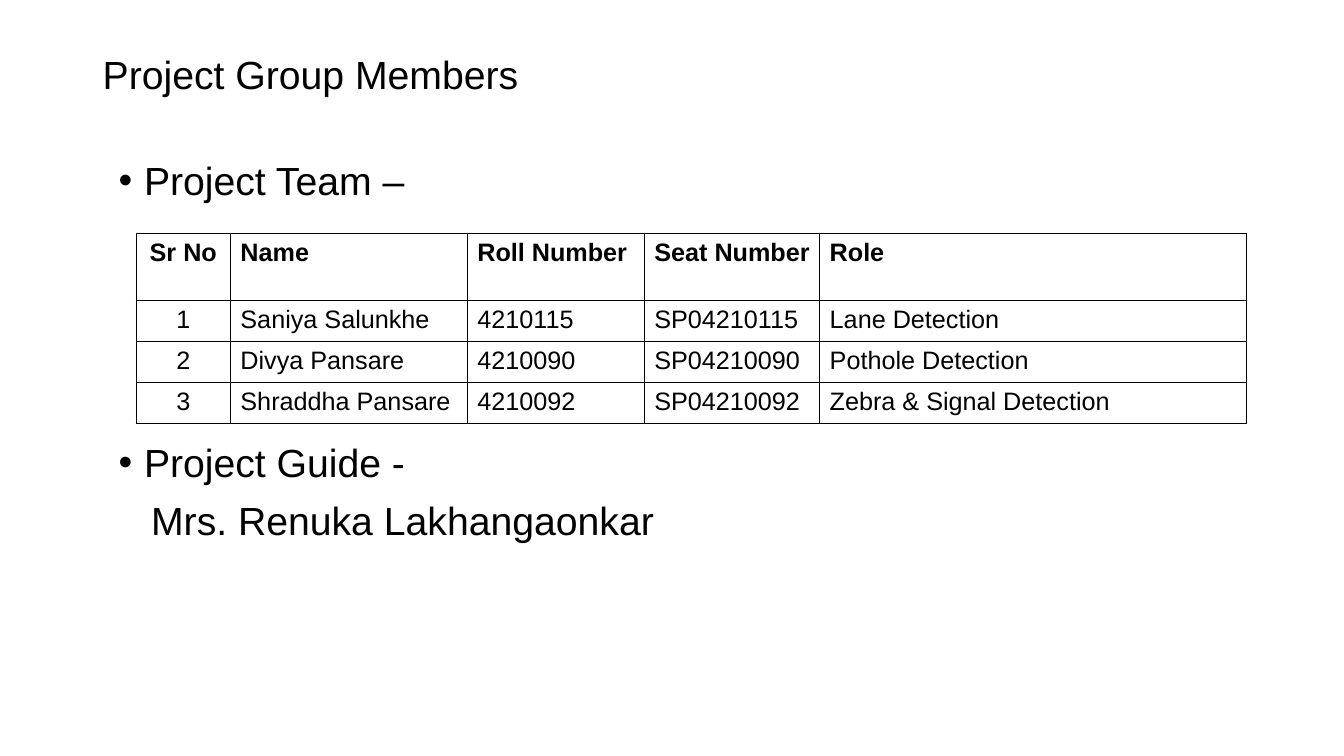
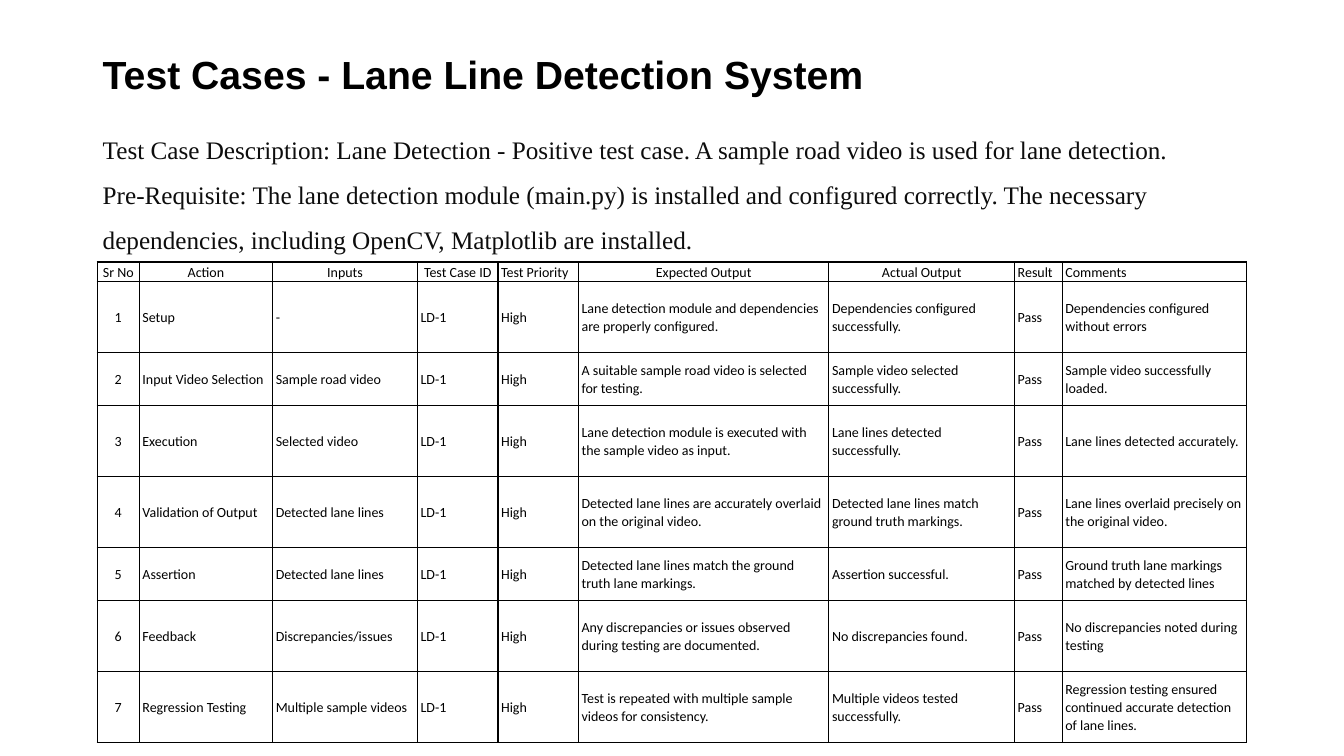
import pptx
import pptx.dml.color
import pptx.enum.text
import pptx.oxml
import pptx.oxml.ns
import pptx.util
from pptx.util import Cm

BLACK = pptx.dml.color.RGBColor(0x00, 0x00, 0x00)
INK = pptx.dml.color.RGBColor(0x0D, 0x0D, 0x0D)
CENTER = pptx.enum.text.PP_ALIGN.CENTER
LEFT = pptx.enum.text.PP_ALIGN.LEFT
TOP = pptx.enum.text.MSO_ANCHOR.TOP
MIDDLE = pptx.enum.text.MSO_ANCHOR.MIDDLE

MARGIN, CONTENT_WIDTH = 2.34, 29.21

TEAM = [
    ("Sr No", "Name", "Roll Number", "Seat Number", "Role"),
    ("1", "Saniya Salunkhe", "4210115", "SP04210115", "Lane Detection"),
    ("2", "Divya Pansare", "4210090", "SP04210090", "Pothole Detection"),
    ("3", "Shraddha Pansare", "4210092", "SP04210092", "Zebra & Signal Detection"),
]
TEAM_COLS = [2.38, 5.97, 4.46, 4.42, 10.76]
TEAM_ROWS = [1.69, 1.03, 1.03, 1.03]

TEST_INTRO = [
    "Test Case Description: Lane Detection - Positive test case. "
    "A sample road video is used for lane detection.",
    "Pre-Requisite: The lane detection module (main.py) is installed and configured "
    "correctly. The necessary dependencies, including OpenCV, Matplotlib are installed.",
]
TEST_HEADER = ("Sr No", "Action", "Inputs", "Test Case ID", "Test Priority",
               "Expected Output", "Actual Output", "Result", "Comments")
TEST_ID, PRIORITY, RESULT = "LD-1", "High", "Pass"
# action, inputs, expected output, actual output, comments
TEST_STEPS = [
    ("Setup", "-",
     "Lane detection module and dependencies are properly configured.",
     "Dependencies configured successfully.",
     "Dependencies configured without errors"),
    ("Input Video Selection", "Sample road video",
     "A suitable sample road video is selected for testing.",
     "Sample video selected successfully.",
     "Sample video successfully loaded."),
    ("Execution", "Selected video",
     "Lane detection module is executed with the sample video as input.",
     "Lane lines detected successfully.",
     "Lane lines detected accurately."),
    ("Validation of Output", "Detected lane lines",
     "Detected lane lines are accurately overlaid on the original video.",
     "Detected lane lines match ground truth markings.",
     "Lane lines overlaid precisely on the original video."),
    ("Assertion", "Detected lane lines",
     "Detected lane lines match the ground truth lane markings.",
     "Assertion successful.",
     "Ground truth lane markings matched by detected lines"),
    ("Feedback", "Discrepancies/issues",
     "Any discrepancies or issues observed during testing are documented.",
     "No discrepancies found.",
     "No discrepancies noted during testing"),
    ("Regression Testing", "Multiple sample videos",
     "Test is repeated with multiple sample videos for consistency.",
     "Multiple videos tested successfully.",
     "Regression testing ensured continued accurate detection of lane lines."),
]
TEST_COLS = [1.06, 3.36, 3.65, 2.03, 2.03, 6.31, 4.68, 1.2, 4.65]
TALL, SHORT = 1.79, 1.34
TEST_ROWS = [0.49, TALL, SHORT, TALL, TALL, SHORT, TALL, TALL]


def write(p, text, size=28, font="Arial", color=BLACK, bold=False, align=LEFT,
          spacing=0.9, before=0, indent=0, bullet=False):
    pPr = p._p.get_or_add_pPr()
    if indent:
        pPr.set("marL", str(Cm(indent)))
    if bullet:
        pPr.set("indent", str(-Cm(indent)))
        ns = pptx.oxml.ns.nsdecls("a")
        pPr.append(pptx.oxml.parse_xml(f'<a:buFont {ns} typeface="Arial"/>'))
        pPr.append(pptx.oxml.parse_xml(f'<a:buChar {ns} char="•"/>'))
    p.alignment = align
    p.line_spacing = spacing
    p.space_before = pptx.util.Pt(before)
    r = p.add_run()
    r.text = text
    r.font.size = pptx.util.Pt(size)
    r.font.name = font
    r.font.bold = bold
    r.font.color.rgb = color


def add_text(slide, box, paragraphs, anchor=TOP):
    """Add a text box; paragraphs holds (text, format) pairs."""
    tf = slide.shapes.add_textbox(*map(Cm, box)).text_frame
    tf.word_wrap = True
    tf.vertical_anchor = anchor
    for i, (text, style) in enumerate(paragraphs):
        write(tf.add_paragraph() if i else tf.paragraphs[0], text, **style)


def add_slide(prs, title, bold=False):
    slide = prs.slides.add_slide(prs.slide_layouts[6])
    add_text(slide, (MARGIN, 1.02, CONTENT_WIDTH, 1.85), [(title, {"bold": bold})], MIDDLE)
    return slide


def add_borders(cell):
    tcPr = cell._tc.get_or_add_tcPr()
    for i, side in enumerate("LRTB"):
        tcPr.insert(i, pptx.oxml.parse_xml(
            f'<a:ln{side} {pptx.oxml.ns.nsdecls("a")} w="{pptx.util.Pt(1)}">'
            f'<a:solidFill><a:srgbClr val="{BLACK}"/></a:solidFill></a:ln{side}>'))


def add_grid(slide, left, top, data, cols, rows, centered_heads, bold_head=False,
             anchor=TOP, insets=(0.25, 0.13), **style):
    """Add a ruled table; the first column and the listed heads are centred."""
    table = slide.shapes.add_table(len(rows), len(cols), Cm(left), Cm(top),
                                   Cm(sum(cols)), Cm(sum(rows))).table
    table.first_row = table.horz_banding = False
    for column, width in zip(table.columns, cols):
        column.width = Cm(width)
    for i, (values, height) in enumerate(zip(data, rows)):
        table.rows[i].height = Cm(height)
        for j, value in enumerate(values):
            cell = table.cell(i, j)
            cell.fill.background()
            add_borders(cell)
            cell.vertical_anchor = anchor
            cell.margin_left = cell.margin_right = Cm(insets[0])
            cell.margin_top = cell.margin_bottom = Cm(insets[1])
            centered = j == 0 or (i == 0 and j in centered_heads)
            write(cell.text_frame.paragraphs[0], value, bold=bold_head and i == 0,
                  align=CENTER if centered else LEFT, **style)


def build_members(prs):
    slide = add_slide(prs, "Project Group Members")
    item = {"indent": 0.64, "bullet": True}
    add_text(slide, (2.74, 3.94, CONTENT_WIDTH, 1.5), [("Project Team –", item)])
    add_text(slide, (2.74, 11.05, CONTENT_WIDTH, 3),
             [("Project Guide -", item),
              ("Mrs. Renuka Lakhangaonkar", {"indent": 0.82, "before": 11})])
    add_grid(slide, 3.43, 5.89, TEAM, TEAM_COLS, TEAM_ROWS, (), bold_head=True,
             size=18, spacing=1.0)


def build_test_cases(prs):
    slide = add_slide(prs, "Test Cases - Lane Line Detection System", bold=True)
    intro = {"size": 18, "font": "Times New Roman", "color": INK, "spacing": 1.5}
    add_text(slide, (MARGIN, 2.87, CONTENT_WIDTH, 3.7), [(t, intro) for t in TEST_INTRO])
    data = [TEST_HEADER] + [
        (str(n), action, inputs, TEST_ID, PRIORITY, expected, actual, RESULT, comments)
        for n, (action, inputs, expected, actual, comments) in enumerate(TEST_STEPS, 1)]
    add_grid(slide, 2.45, 6.6, data, TEST_COLS, TEST_ROWS, (1, 2, 3, 5, 6),
             anchor=MIDDLE, insets=(0.08, 0), size=10, font="Calibri", spacing=1.07)


def main():
    prs = pptx.Presentation()
    prs.slide_width, prs.slide_height = Cm(33.87), Cm(19.05)
    build_members(prs)
    build_test_cases(prs)
    prs.save("out.pptx")


if __name__ == "__main__":
    main()
